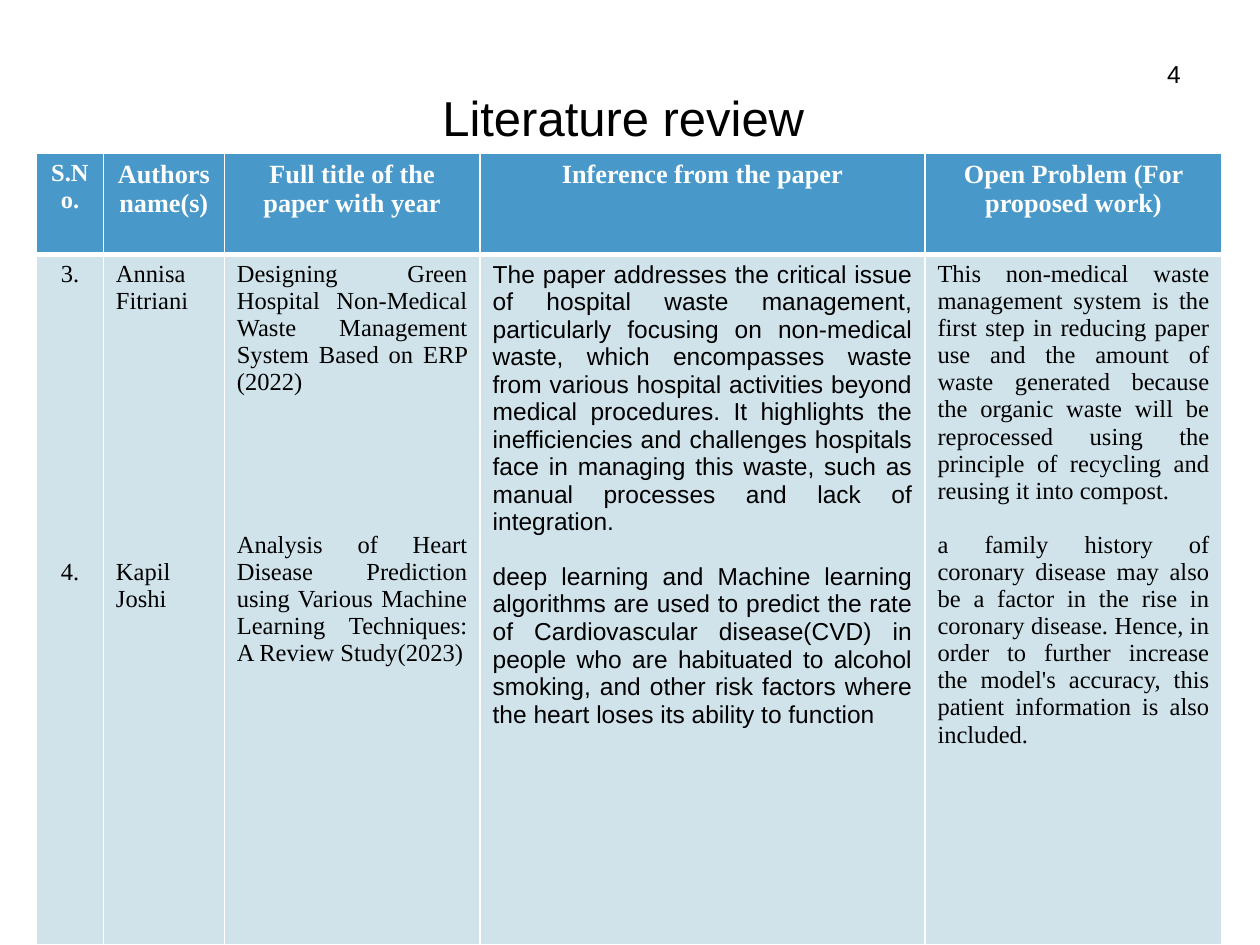
"""Build the literature review slide with its table of papers."""
import pptx
import pptx.dml.color
import pptx.enum.text
import pptx.oxml
import pptx.oxml.ns
import pptx.util

Pt = pptx.util.Pt
RGBColor = pptx.dml.color.RGBColor
ALIGN = pptx.enum.text.PP_ALIGN
ANCHOR = pptx.enum.text.MSO_ANCHOR

BLACK = RGBColor(0x00, 0x00, 0x00)
WHITE = RGBColor(0xFF, 0xFF, 0xFF)
BLUE = RGBColor(0x48, 0x98, 0xCA)
PALE = RGBColor(0xD0, 0xE3, 0xEA)
SANS, SERIF = "Arial", "Times New Roman"
LINE = 15.5

BOXES = [
    {"text": "4", "at": (654.5, 30.2, 23.8, 23), "align": ALIGN.RIGHT, "wrap": False,
     "anchor": ANCHOR.TOP, "font": {"name": SANS, "size": Pt(14)}},
    {"text": "Literature review ", "at": (36, 7.2, 648, 118.8), "align": ALIGN.CENTER, "wrap": True,
     "anchor": ANCHOR.MIDDLE, "font": {"name": SANS, "size": Pt(28)}},
]
TABLE_LEFT, TABLE_TOP = 20.9, 87.8
ROW_HEIGHTS = (57.6, 394.6)
COLUMNS = [
    {"width": 38.2, "head": "S.No.", "head_size": 14, "align": ALIGN.CENTER, "gap_lines": 10,
     "entries": ("3.", "4.")},
    {"width": 69.1, "head": "Authors name(s)", "align": ALIGN.LEFT, "gap_lines": 9,
     "entries": ("Annisa Fitriani", "Kapil Joshi")},
    {"width": 146.2, "head": "Full title of the paper with year", "gap_lines": 5,
     "entries": (
         "Designing Green Hospital Non-Medical Waste Management System Based on ERP (2022)",
         "Analysis of Heart Disease Prediction using Various Machine Learning Techniques: "
         "A Review Study(2023)")},
    {"width": 254.2, "head": "Inference from the paper", "font": SANS,
     "entries": (
         "The paper addresses the critical issue of hospital waste management, particularly "
         "focusing on non-medical waste, which encompasses waste from various hospital "
         "activities beyond medical procedures. It highlights the inefficiencies and challenges "
         "hospitals face in managing this waste, such as manual processes and lack of integration.",
         "deep learning and Machine learning algorithms are used to predict the rate of "
         "Cardiovascular disease(CVD) in people who are habituated to alcohol smoking, and other "
         "risk factors where the heart loses its ability to function")},
    {"width": 169.9, "head": "Open Problem (For proposed work)",
     "entries": (
         "This non-medical waste management system is the first step in reducing paper use and "
         "the amount of waste generated because the organic waste will be reprocessed using the "
         "principle of recycling and reusing it into compost. ",
         "a family history of coronary disease may also be a factor in the rise in coronary "
         "disease. Hence, in order to further increase the model's accuracy, this patient "
         "information is also included.")},
]


def write(frame, texts, align, font, gap=0):
    """Write one paragraph per text, with a gap between paragraphs."""
    for index, text in enumerate(texts):
        para = frame.add_paragraph() if index else frame.paragraphs[0]
        para.alignment = align
        para.space_before = Pt(gap if index else 0)
        span = para.add_run()
        span.text = text
        for name, value in font.items():
            if name == "color":
                span.font.color.rgb = value
            else:
                setattr(span.font, name, value)


def set_borders(cell, widths):
    """Give a cell white borders, with widths in points by side."""
    properties = cell._tc.get_or_add_tcPr()
    for index, (side, width) in enumerate(widths.items()):
        border = pptx.oxml.parse_xml(
            f'<a:ln{side} {pptx.oxml.ns.nsdecls("a")} w="{Pt(width)}">'
            f'<a:solidFill><a:srgbClr val="{WHITE}"/></a:solidFill></a:ln{side}>')
        properties.insert(index, border)


def add_box(page, item):
    """Add a text box with narrow margins."""
    frame = page.shapes.add_textbox(*map(Pt, item["at"])).text_frame
    settings = {"word_wrap": item["wrap"], "vertical_anchor": item["anchor"]}
    settings.update({f"margin_{side}": Pt(3.6) for side in ("left", "top", "right", "bottom")})
    for name, value in settings.items():
        setattr(frame, name, value)
    write(frame, [item["text"]], item["align"], {"color": BLACK, **item["font"]})


def add_papers(page):
    """Add the table of papers."""
    width = sum(column["width"] for column in COLUMNS)
    table = page.shapes.add_table(
        len(ROW_HEIGHTS), len(COLUMNS),
        *map(Pt, (TABLE_LEFT, TABLE_TOP, width, sum(ROW_HEIGHTS)))).table
    for row, height in zip(table.rows, ROW_HEIGHTS):
        row.height = Pt(height)
    for index, column in enumerate(COLUMNS):
        table.columns[index].width = Pt(column["width"])
        head, body = table.cell(0, index), table.cell(1, index)
        for cell, fill, top, bottom in ((head, BLUE, 1, 3), (body, PALE, 3, 1)):
            cell.fill.solid()
            cell.fill.fore_color.rgb = fill
            set_borders(cell, {"L": 1, "R": 1, "T": top, "B": bottom})
        write(head.text_frame, [column["head"]], ALIGN.CENTER,
              {"name": SERIF, "size": Pt(column.get("head_size", 15)), "bold": True, "color": WHITE})
        write(body.text_frame, column["entries"], column.get("align", ALIGN.JUSTIFY),
              {"name": column.get("font", SERIF), "size": Pt(14), "bold": False, "color": BLACK},
              column.get("gap_lines", 1) * LINE)


def main():
    """Build and save the deck."""
    deck = pptx.Presentation()
    deck.slide_width, deck.slide_height = Pt(720), Pt(540)
    page = deck.slides.add_slide(deck.slide_layouts[6])
    for item in BOXES:
        add_box(page, item)
    add_papers(page)
    deck.save("out.pptx")


if __name__ == "__main__":
    main()
